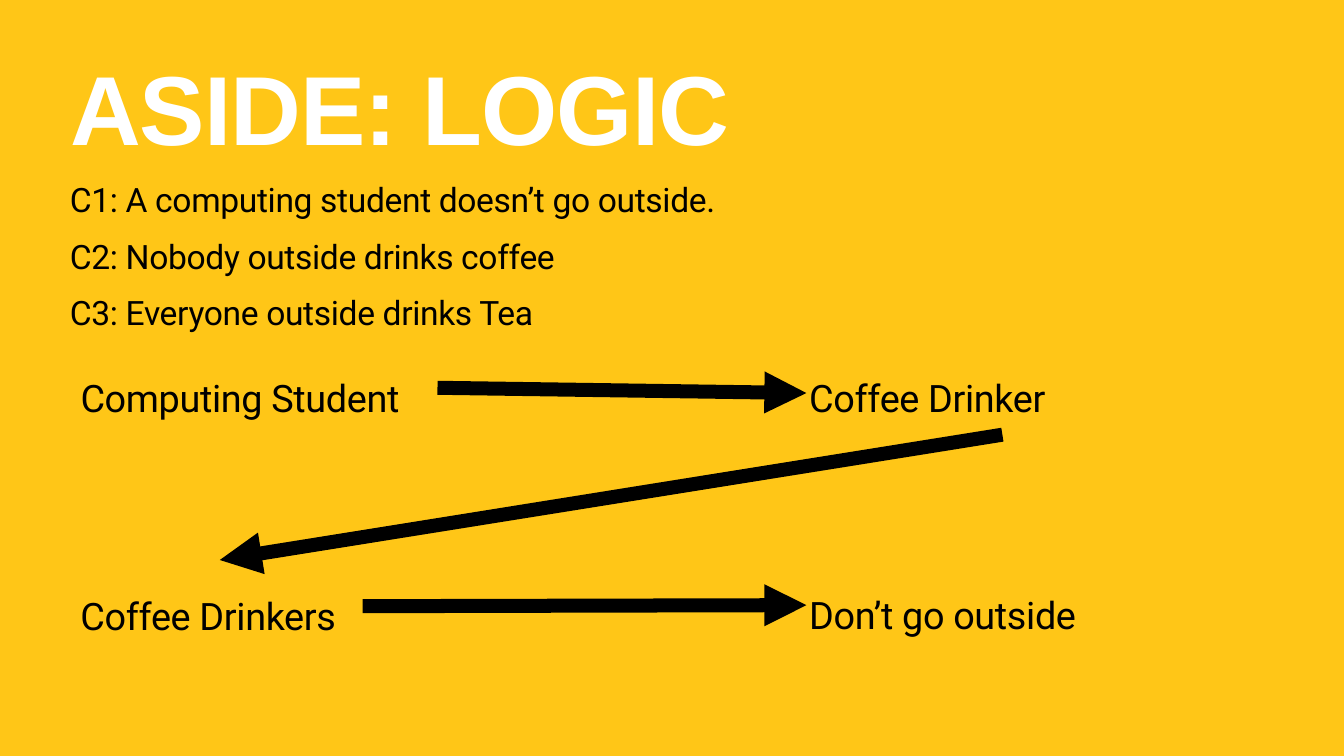
from dataclasses import dataclass
from lxml import etree
from pptx import Presentation
from pptx.dml.color import RGBColor as RGB
from pptx.enum.shapes import MSO_CONNECTOR as Connector
from pptx.enum.text import MSO_ANCHOR as Anchor, MSO_AUTO_SIZE as AutoSize, PP_ALIGN as Align
from pptx.oxml.ns import qn
from pptx.util import Pt


@dataclass(frozen=True)
class Theme:
    background = RGB(0xFF, 0xC6, 0x17)
    heading = RGB(0xFF, 0xFF, 0xFF)
    ink = RGB(0, 0, 0)
    heading_font, text_font = "Arial", "Roboto"
    heading_size, claim_size, term_size = 140, 48, 54
    arrow_width = 20
    inset = 4


theme = Theme()


def write(box, lines, size, font=theme.text_font, color=theme.ink, bold=False,
          spacing=1.4, tracking=-50, anchor=Anchor.TOP):
    frame = box.text_frame
    frame.word_wrap = True
    frame.auto_size = AutoSize.NONE
    frame.vertical_anchor = anchor
    frame.margin_left = frame.margin_right = Pt(theme.inset)
    frame.margin_top = frame.margin_bottom = Pt(theme.inset)
    for index, line in enumerate(lines):
        para = frame.add_paragraph() if index else frame.paragraphs[0]
        para.alignment = Align.LEFT
        para.line_spacing = spacing
        para.space_before = para.space_after = Pt(0)
        run = para.add_run()
        run.text = line
        run.font.name, run.font.size, run.font.bold = font, Pt(size), bold
        run.font.color.rgb = color
        run._r.get_or_add_rPr().set("spc", str(tracking))


def draw_arrow(shapes, start, end):
    arrow = shapes.add_connector(Connector.STRAIGHT, *map(Pt, start + end))
    arrow.line.color.rgb = theme.ink
    arrow.line.width = Pt(theme.arrow_width)
    etree.SubElement(arrow.line._get_or_add_ln(), qn("a:tailEnd"), type="triangle")
    etree.SubElement(arrow._element.spPr, qn("a:effectLst"))


deck = Presentation()
deck.slide_width, deck.slide_height = Pt(1920), Pt(1080)
slide = deck.slides.add_slide(deck.slide_layouts[5])
slide.background.fill.solid()
slide.background.fill.fore_color.rgb = theme.background

# Title
title = slide.shapes.title
title.left, title.top, title.width, title.height = map(Pt, (96, 96, 1728, 181))
write(title, ["ASIDE: LOGIC"], theme.heading_size, theme.heading_font,
      theme.heading, bold=True, spacing=0.8, tracking=-140)

# Implications: premise, arrow, conclusion
premise_left, conclusion_left = 111, 1152
conclusion_width, term_height = 559, 132
implications = [
    ("Computing Student", 488, 514, "Coffee Drinker", 488, 561.5),
    ("Coffee Drinkers", 800, 407, "Don’t go outside", 798.5, 864.5),
]
for premise, premise_top, premise_width, conclusion, conclusion_top, arrow_end in implications:
    implication = slide.shapes.add_group_shape().shapes
    for term, left, top, width in (
        (premise, premise_left, premise_top, premise_width),
        (conclusion, conclusion_left, conclusion_top, conclusion_width),
    ):
        box = implication.add_textbox(Pt(left), Pt(top), Pt(width), Pt(term_height))
        write(box, [term], theme.term_size, anchor=Anchor.MIDDLE)
    draw_arrow(implication, (premise_left + premise_width, premise_top + term_height / 2),
               (conclusion_left, arrow_end))

# Link from the first conclusion to the second premise
draw_arrow(slide.shapes, (1432, 621), (314, 800))

# Claims
claims = slide.shapes.add_textbox(Pt(96), Pt(229), Pt(1728), Pt(754.5))
write(claims, [
    "C1: A computing student doesn’t go outside.",
    "C2: Nobody outside drinks coffee",
    "C3: Everyone outside drinks Tea",
], theme.claim_size)

deck.save("out.pptx")
